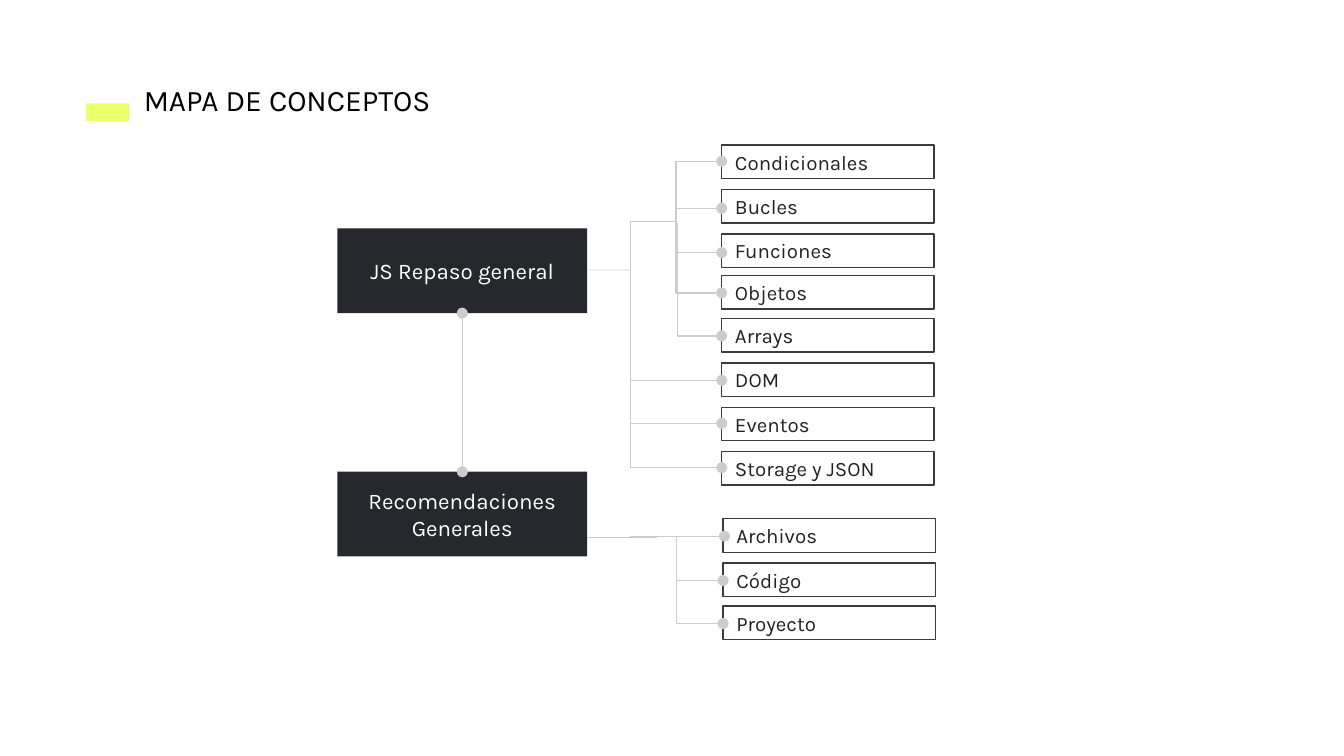
from lxml.etree import SubElement
from pptx import Presentation
from pptx.dml.color import RGBColor
from pptx.enum.shapes import MSO_CONNECTOR, MSO_SHAPE
from pptx.enum.text import MSO_ANCHOR, MSO_AUTO_SIZE, PP_ALIGN
from pptx.oxml.ns import qn
from pptx.util import Inches, Pt

FONT = "Karla"
WHITE = RGBColor(0xFF, 0xFF, 0xFF)
BLACK = RGBColor(0x00, 0x00, 0x00)
LIME = RGBColor(0xEA, 0xFF, 0x6A)
DARK = RGBColor(0x27, 0x28, 0x2D)
BORDER = RGBColor(0x39, 0x3B, 0x43)
LEAF_TEXT = RGBColor(0x22, 0x22, 0x22)
LINK = RGBColor(0xCC, 0xCC, 0xCC)
PALE_LINK = RGBColor(0xEE, 0xEE, 0xEE)

SLIDE_WIDTH = Inches(10)
SLIDE_HEIGHT = SLIDE_WIDTH * 9 // 16
TOPIC_WIDTH, TOPIC_HEIGHT = Inches(1.86), Inches(0.63)
LEAF_WIDTH, LEAF_HEIGHT = Inches(1.58), Inches(0.25)

REVIEW_LEAVES = [
    ("Condicionales", 0, 0.12),
    ("Bucles", 0.33, 0.47),
    ("Funciones", 0.66, 0.8),
    ("Objetos", 0.97, 1.1),
    ("Arrays", 1.29, 1.42),
    ("DOM", 1.62, 1.75),
    ("Eventos", 1.95, 2.07),
    ("Storage y JSON", 2.28, 2.4),
]
ADVICE_LEAVES = [("Archivos", 0), ("Código", 0.33), ("Proyecto", 0.65)]


def write_text(shape, text, size, color, alignment, anchor):
    """Write one formatted run into a shape with even insets."""
    frame = shape.text_frame
    frame.word_wrap = True
    frame.vertical_anchor = anchor
    frame.margin_left = frame.margin_right = Inches(0.1)
    frame.margin_top = frame.margin_bottom = Inches(0.1)
    paragraph = frame.paragraphs[0]
    paragraph.alignment = alignment
    run = paragraph.add_run()
    run.text = text
    run.font.name = FONT
    run.font.size = Pt(size)
    run.font.color.rgb = color


def add_box(slide, left, top, width, height, fill, border=None):
    """Add a flat rectangle, outlined when a border colour is given."""
    shape = slide.shapes.add_shape(MSO_SHAPE.RECTANGLE, left, top, width, height)
    shape.shadow.inherit = False
    shape.fill.solid()
    shape.fill.fore_color.rgb = fill
    if border is None:
        shape.line.fill.background()
    else:
        shape.line.color.rgb = border
        shape.line.width = Pt(0.75)
    return shape


def add_link(slide, kind, start, end, color=LINK, ovals=("tailEnd",)):
    """Add a thin connector with round dots on the chosen ends."""
    connector = slide.shapes.add_connector(kind, *start, *end)
    connector.line.color.rgb = color
    connector.line.width = Pt(0.75)
    properties = connector._element.spPr
    for name in ovals:
        SubElement(properties.find(qn("a:ln")), qn(f"a:{name}"), type="oval")
    SubElement(properties, qn("a:effectLst"))
    return connector


def add_corner_link(slide, start, end):
    """Add a connector that runs down from start and then right to end."""
    across, down = end[0] - start[0], end[1] - start[1]
    left = start[0] + (across - down) // 2
    top = start[1] + (down - across) // 2
    connector = add_link(slide, MSO_CONNECTOR.ELBOW, (left, top), (left + down, top + across))
    properties = connector._element.spPr
    properties.find(qn("a:prstGeom")).set("prst", "bentConnector2")
    transform = properties.find(qn("a:xfrm"))
    transform.set("rot", "16200000")
    transform.set("flipH", "1")


def add_heading(slide, left, top):
    """Place the lime marker and the slide title."""
    add_box(slide, left, top + Inches(0.26), Inches(0.32), Inches(0.13), LIME)
    title = slide.shapes.title
    title.left, title.top = left + Inches(0.33), top
    title.width, title.height = Inches(2.69), Inches(0.47)
    write_text(title, "MAPA DE CONCEPTOS", 16, BLACK, PP_ALIGN.LEFT, MSO_ANCHOR.TOP)
    title.text_frame.auto_size = MSO_AUTO_SIZE.SHAPE_TO_FIT_TEXT


def add_topics(slide, left, top):
    """Place the two dark topics and the line between them."""
    lower = top + Inches(1.81)
    for text, y in (("JS Repaso general", top), ("Recomendaciones Generales", lower)):
        box = add_box(slide, left, y, TOPIC_WIDTH, TOPIC_HEIGHT, DARK)
        write_text(box, text, 12, WHITE, PP_ALIGN.CENTER, MSO_ANCHOR.MIDDLE)
    middle = left + TOPIC_WIDTH // 2
    add_link(slide, MSO_CONNECTOR.STRAIGHT, (middle, lower), (middle, top + TOPIC_HEIGHT),
             ovals=("headEnd", "tailEnd"))


def add_leaf(slide, left, top, text):
    """Place one outlined concept box."""
    box = add_box(slide, left, top, LEAF_WIDTH, LEAF_HEIGHT, WHITE, BORDER)
    write_text(box, text, 11, LEAF_TEXT, PP_ALIGN.LEFT, MSO_ANCHOR.MIDDLE)


def add_review_branch(slide, left, top):
    """Place the review concepts and their links from the trunk."""
    leaf_left = left + Inches(0.68)
    trunk = (left, top + Inches(0.57))
    inner_trunk = (left + Inches(0.35), top + Inches(0.58))
    stem = top + Inches(0.93)
    add_link(slide, MSO_CONNECTOR.STRAIGHT, (left - Inches(0.32), stem), (left, stem),
             PALE_LINK, ovals=())
    for index, (text, offset, link_offset) in enumerate(REVIEW_LEAVES):
        add_leaf(slide, leaf_left, top + Inches(offset), text)
        end = (leaf_left, top + Inches(link_offset))
        if index < 4:
            add_link(slide, MSO_CONNECTOR.ELBOW, trunk, end)
        else:
            add_corner_link(slide, inner_trunk if text == "Arrays" else trunk, end)


def add_advice_branch(slide, left, top):
    """Place the advice concepts and their links from the trunk."""
    leaf_left = left + Inches(0.69)
    trunk = (left, top + Inches(0.13))
    for text, offset in ADVICE_LEAVES:
        add_leaf(slide, leaf_left, top + Inches(offset), text)
    for _, offset in ADVICE_LEAVES[1:]:
        add_link(slide, MSO_CONNECTOR.ELBOW, trunk, (leaf_left, trunk[1] + Inches(offset)))
    add_link(slide, MSO_CONNECTOR.ELBOW, (left - Inches(0.32), top + Inches(0.14)),
             (leaf_left + Inches(0.01), trunk[1]))


def main():
    """Build the concept map slide and save it."""
    presentation = Presentation()
    presentation.slide_width, presentation.slide_height = SLIDE_WIDTH, SLIDE_HEIGHT
    slide = presentation.slides.add_slide(presentation.slide_layouts[5])
    add_heading(slide, Inches(0.64), Inches(0.51))
    add_topics(slide, Inches(2.51), Inches(1.7))
    add_review_branch(slide, Inches(4.69), Inches(1.08))
    add_advice_branch(slide, Inches(4.69), Inches(3.86))
    presentation.save("out.pptx")


if __name__ == "__main__":
    main()
